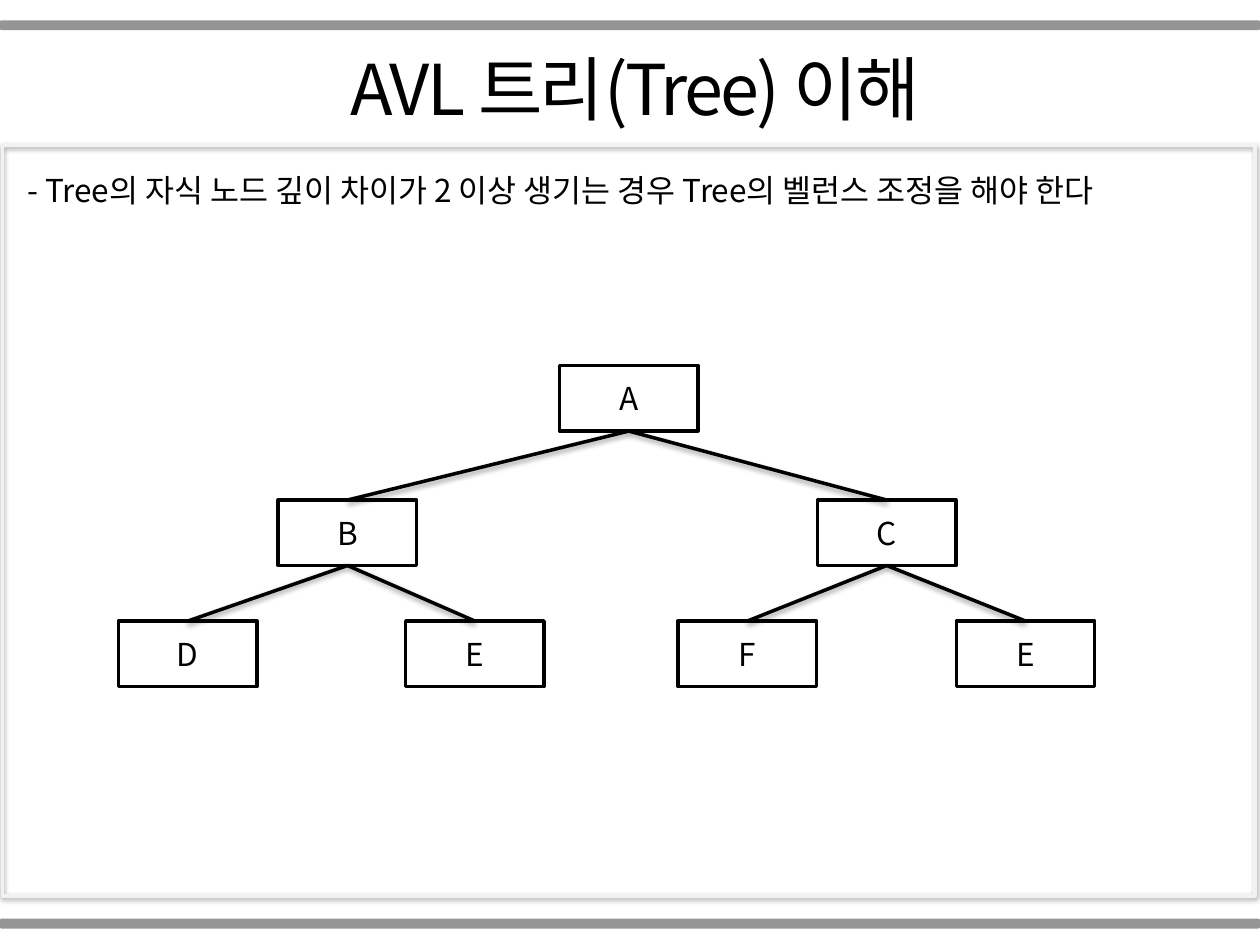
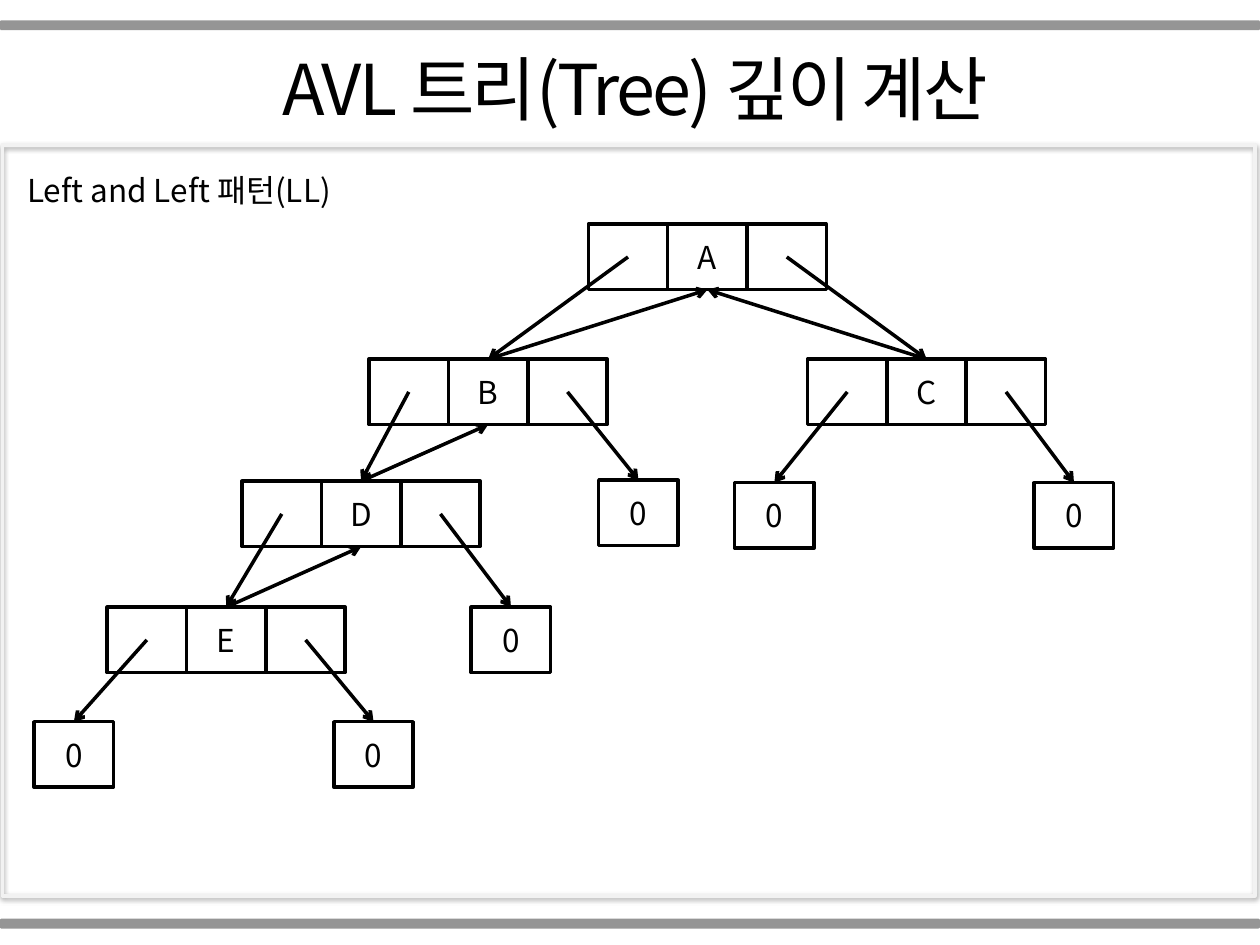
from lxml import etree
from pptx import Presentation
from pptx.dml.color import RGBColor
from pptx.enum.shapes import MSO_CONNECTOR, MSO_SHAPE
from pptx.enum.text import MSO_ANCHOR, MSO_AUTO_SIZE, PP_ALIGN
from pptx.oxml.ns import qn
from pptx.util import Cm, Pt

RECT, BAR = MSO_SHAPE.RECTANGLE, MSO_SHAPE.ROUNDED_RECTANGLE
STRAIGHT = MSO_CONNECTOR.STRAIGHT
TOP, MIDDLE = MSO_ANCHOR.TOP, MSO_ANCHOR.MIDDLE
LEFT, CENTER = PP_ALIGN.LEFT, PP_ALIGN.CENTER
NO_FIT = MSO_AUTO_SIZE.NONE

COLORS = {"ink": "000000", "paper": "FFFFFF", "frame": "F2F2F2", "bar": "808080"}
FONT = "Noto Sans CJK KR"
TITLE = {"size": Pt(40), "name": FONT, "bold": False}
BODY = {"size": Pt(18), "name": FONT, "bold": False}
NODE_W, CELL_W, NODE_H = 2.79, 1.6, 1.32


def color(name):
    return RGBColor.from_string(COLORS[name])


class Deck:
    def __init__(self):
        self.prs = Presentation()
        self.prs.slide_width, self.prs.slide_height = Cm(25.4), Cm(19.05)
        self.s = None

    def slide(self, title, caption):
        self.s = self.prs.slides.add_slide(self.prs.slide_layouts[5])
        box = self.s.shapes.title
        box.left, box.top, box.width, box.height = map(Cm, (0.05, 0.79, 25.25, 1.96))
        self.text(box, title, TITLE, CENTER, TOP, spacing=-150)
        frame = self.shape(RECT, 0.05, 2.92, 25.25, 15.14, line="frame")
        self.shadow(frame)
        for y in (0.41, 18.52):
            bar = self.shape(BAR, 0, y, 25.4, 0.2, fill="bar")
            clr = bar.fill._xPr.find(qn("a:solidFill"))[0]
            etree.SubElement(clr, qn("a:alpha"), val="83000")
        tb = self.s.shapes.add_textbox(*map(Cm, (0.3, 3.33, 25.1, 1.02)))
        self.text(tb, caption, BODY, LEFT, TOP)

    def text(self, sp, words, style, align, anchor, spacing=None):
        tf = sp.text_frame
        for name, value in {"word_wrap": True, "auto_size": NO_FIT,
                            "vertical_anchor": anchor}.items():
            setattr(tf, name, value)
        p = tf.paragraphs[0]
        p.alignment = align
        r = p.add_run()
        r.text = words
        for name, value in style.items():
            setattr(r.font, name, value)
        r.font.color.rgb = color("ink")
        rpr = r._r.get_or_add_rPr()
        etree.SubElement(rpr, qn("a:ea"), typeface=FONT)
        if spacing:
            rpr.set("spc", str(spacing))

    def shape(self, kind, x, y, w, h, fill=None, line=None, parent=None):
        sp = (parent or self.s).shapes.add_shape(kind, *map(Cm, (x, y, w, h)))
        sp.shadow.inherit = False
        if fill:
            sp.fill.solid()
            sp.fill.fore_color.rgb = color(fill)
        else:
            sp.fill.background()
        if line:
            sp.line.color.rgb = color(line)
            sp.line.width = Pt(2)
        else:
            sp.line.fill.background()
        return sp

    def shadow(self, sp):
        effects = sp._element.spPr.find(qn("a:effectLst"))
        shd = etree.SubElement(effects, qn("a:outerShdw"), blurRad="40000",
                               dist="20000", dir="5400000", rotWithShape="0")
        clr = etree.SubElement(shd, qn("a:srgbClr"), val=COLORS["ink"])
        etree.SubElement(clr, qn("a:alpha"), val="38000")

    def node(self, x, y, w, label=None, parent=None):
        sp = self.shape(RECT, x, y, w, NODE_H, "paper", "ink", parent)
        if label:
            self.text(sp, label, BODY, CENTER, MIDDLE)

    def record(self, x, y, label):
        grp = self.s.shapes.add_group_shape()
        for column, words in ((0, None), (2, None), (1, label)):
            self.node(x + column * CELL_W, y, CELL_W, words, grp)

    def link(self, start, end, arrow=False):
        cx = self.s.shapes.add_connector(STRAIGHT, *map(Cm, (*start, *end)))
        cx.line.color.rgb = color("ink")
        cx.line.width = Pt(2)
        sppr = cx._element.spPr
        etree.SubElement(sppr, qn("a:effectLst"))
        if arrow:
            etree.SubElement(sppr.find(qn("a:ln")), qn("a:tailEnd"), type="arrow")
        else:
            self.shadow(cx)


def balance_slide(deck):
    deck.slide(" AVL 트리(Tree) 이해",
               "- Tree의 자식 노드 깊이 차이가 2 이상 생기는 경우 Tree의 벨런스 조정을 해야 한다")
    levels = (7.37, 10.08, 12.52)
    nodes = [("A", 11.28, 0), ("B", 5.61, 1), ("C", 16.48, 1), ("D", 2.39, 2),
             ("E", 8.18, 2), ("F", 13.67, 2), ("E", 19.28, 2)]
    for label, x, level in nodes:
        deck.node(x, levels[level], NODE_W, label)
    for i, (_, x, level) in enumerate(nodes[1:], 1):
        _, parent_x, parent_level = nodes[(i - 1) // 2]
        deck.link((parent_x + NODE_W / 2, levels[parent_level] + NODE_H),
                  (x + NODE_W / 2, levels[level]))


def depth_slide(deck):
    deck.slide(" AVL 트리(Tree) 깊이 계산", "Left and Left 패턴(LL)")
    records = {"A": (11.86, 4.52), "B": (7.44, 7.24), "C": (16.28, 7.24),
               "D": (4.88, 9.7), "E": (2.16, 12.24)}
    children = [("A", 0, "B"), ("A", 2, "C"), ("B", 0, "D"), ("D", 0, "E")]
    leaves = [("B", 2, 12.07, 9.68), ("C", 0, 14.81, 9.73), ("C", 2, 20.85, 9.73),
              ("D", 2, 9.5, 12.24), ("E", 0, 0.69, 14.55), ("E", 2, 6.73, 14.55)]

    def cell_center(label, column):
        x, y = records[label]
        return x + (column + 0.5) * CELL_W, y + NODE_H / 2

    for label, (x, y) in records.items():
        deck.record(x, y, label)
    for parent, column, child in children:
        x, y = cell_center(child, 1)
        child_top = (x, y - NODE_H / 2)
        x, y = cell_center(parent, 1)
        deck.link(cell_center(parent, column), child_top, arrow=True)
        deck.link(child_top, (x, y + NODE_H / 2), arrow=True)
    for parent, column, x, y in leaves:
        deck.node(x, y, CELL_W, "0")
        deck.link(cell_center(parent, column), (x + CELL_W / 2, y), arrow=True)


def main():
    deck = Deck()
    balance_slide(deck)
    depth_slide(deck)
    deck.prs.save("out.pptx")


if __name__ == "__main__":
    main()
